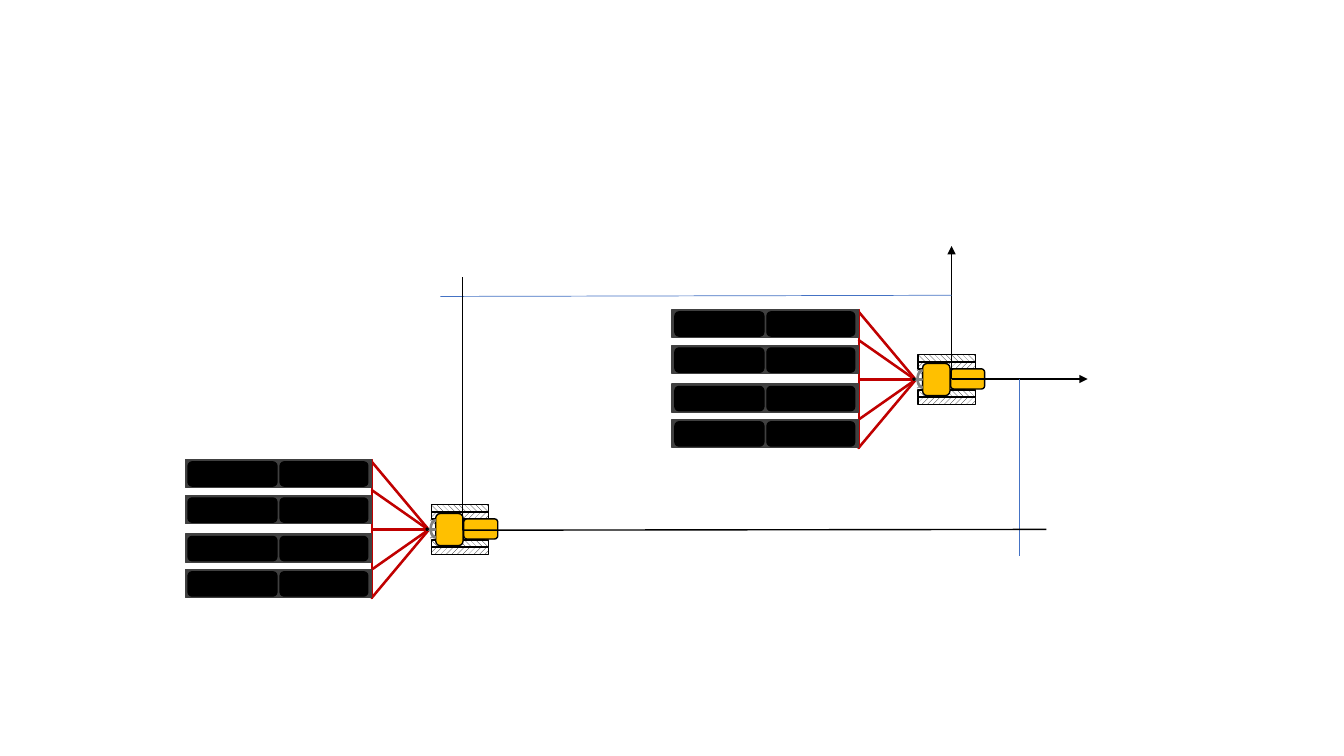
"""Draw two tractors with rollers and their distance lines."""
from math import cos, pi, sin

from lxml import etree
from pptx import Presentation
from pptx.dml.color import RGBColor
from pptx.enum.dml import MSO_PATTERN
from pptx.enum.shapes import MSO_CONNECTOR, MSO_SHAPE
from pptx.oxml.ns import qn
from pptx.util import Cm, Pt

RECT, ROUND, OVAL = MSO_SHAPE.RECTANGLE, MSO_SHAPE.ROUNDED_RECTANGLE, MSO_SHAPE.OVAL
STRAIGHT = MSO_CONNECTOR.STRAIGHT
UP = MSO_PATTERN.WIDE_UPWARD_DIAGONAL
DOWN = MSO_PATTERN.WIDE_DOWNWARD_DIAGONAL

BLACK = RGBColor(0x00, 0x00, 0x00)
WHITE = RGBColor(0xFF, 0xFF, 0xFF)
DARK = RGBColor(0x40, 0x40, 0x40)
STEEL = RGBColor(0x59, 0x59, 0x59)
GRAY = RGBColor(0x80, 0x80, 0x80)
RED = RGBColor(0xC0, 0x00, 0x00)
GOLD = RGBColor(0xFF, 0xC0, 0x00)
BLUE = RGBColor(0x44, 0x72, 0xC4)

TRACTORS = [(4.67, 11.58), (16.94, 7.8)]
WHEELS = [(1.32, UP), (2.03, DOWN), (1.14, DOWN), (2.21, UP)]
RODS = [
    (4.27, 0.86, 2.24, 230),
    (4.29, 2.62, 2.24, 130),
    (4.7, 1.75, 1.37, 0),
    (4.55, 1.24, 1.68, 35),
    (4.57, 2.26, 1.68, 325),
    (2.97, 1.73, 3.48, 270),
]
ROLLERS = [0, 0.91, 1.88, 2.77]
PADS = [(0.07, 2.24), (2.39, 2.21)]
BODY = [
    (ROUND, (7.19, 1.32, 0.51, 0.86), GOLD, BLACK, 90),
    (ROUND, (6.25, 1.42, 0.81, 0.69), GOLD, BLACK, 90),
    (RECT, (6.1, 1.75, 0.2, 0.03), STEEL, GRAY, 0),
    (OVAL, (6.07, 1.73, 0.05, 0.05), GRAY, BLACK, 0),
]
HITCH = [(6.17, 1.52, 6.3, 1.63), (6.17, 1.98, 6.3, 1.9)]
ARC = (6.3, 1.75)
RADII = [(0.13, 0.23), (0.1, 0.19)]
LINES = [
    ((23.98, 9.55, 27.41, 9.55), BLACK, 1, True),
    ((23.98, 9.55, 23.98, 6.2), BLACK, 1, True),
    ((23.98, 7.44, 11.1, 7.47), BLUE, 0.5, False),
    ((25.68, 9.55, 25.68, 14), BLUE, 0.5, False),
    ((11.66, 13.36, 11.66, 6.99), BLACK, 1, False),
    ((11.66, 13.36, 26.37, 13.34), BLACK, 1, False),
]


def paint(shape, fill, line):
    """Set a solid fill and a one-point outline."""
    shape.shadow.inherit = False
    shape.fill.solid()
    shape.fill.fore_color.rgb = fill
    shape.line.color.rgb = line
    shape.line.width = Pt(1)


def block(group, kind, box, fill, line, turn=0):
    """Add one preset shape."""
    shape = group.shapes.add_shape(kind, *map(Cm, box))
    paint(shape, fill, line)
    shape.rotation = turn
    return shape


def stroke(shapes, ends, color, width, arrow=False):
    """Add a straight line, with an arrowhead if wanted."""
    line = shapes.add_connector(STRAIGHT, *map(Cm, ends))
    line.line.color.rgb = color
    line.line.width = Pt(width)
    if arrow:
        etree.SubElement(line.line._get_or_add_ln(), qn("a:tailEnd"), type="triangle")
    etree.SubElement(line._element.spPr, qn("a:effectLst"))


def tractor(slide, left, top):
    """Draw a tractor and its rollers as one group."""
    group = slide.shapes.add_group_shape()

    def part(kind, box, *style):
        """Add a shape placed from the tractor's corner."""
        x, y, wide, high = box
        return block(group, kind, (left + x, top + y, wide, high), *style)

    for y, pattern in WHEELS:
        fill = part(RECT, (6.2, y, 1.45, 0.18), WHITE, BLACK).fill
        fill.patterned()
        fill.pattern = pattern
        fill.fore_color.rgb = BLACK
        fill.back_color.rgb = WHITE
    for x, y, length, turn in RODS:
        part(RECT, (x, y, length, 0.03), RED, RED, turn)
    for kind, box, fill, line, turn in BODY:
        part(kind, box, fill, line, turn)

    angles = [pi * (0.5 + step / 12) for step in range(13)]
    points = []
    for (wide, high), sweep in zip(RADII, (angles, angles[::-1])):
        points += [
            (Cm(left + ARC[0] + wide * cos(a)), Cm(top + ARC[1] + high * sin(a)))
            for a in sweep
        ]
    form = group.shapes.build_freeform(*points[0])
    form.add_line_segments(points[1:])
    paint(form.convert_to_shape(), GRAY, GRAY)

    for x1, y1, x2, y2 in HITCH:
        stroke(group.shapes, (left + x1, top + y1, left + x2, top + y2), GRAY, 0.5)
    for y in ROLLERS:
        part(RECT, (0, y, 4.7, 0.71), DARK, DARK)
        for x, wide in PADS:
            part(ROUND, (x, y + 0.06, wide, 0.61), BLACK, BLACK)


def main():
    """Build and save the slide."""
    deck = Presentation()
    deck.slide_width, deck.slide_height = Cm(33.87), Cm(19.05)
    slide = deck.slides.add_slide(deck.slide_layouts[6])
    for left, top in TRACTORS:
        tractor(slide, left, top)
    for line in LINES:
        stroke(slide.shapes, *line)
    deck.save("out.pptx")


if __name__ == "__main__":
    main()
